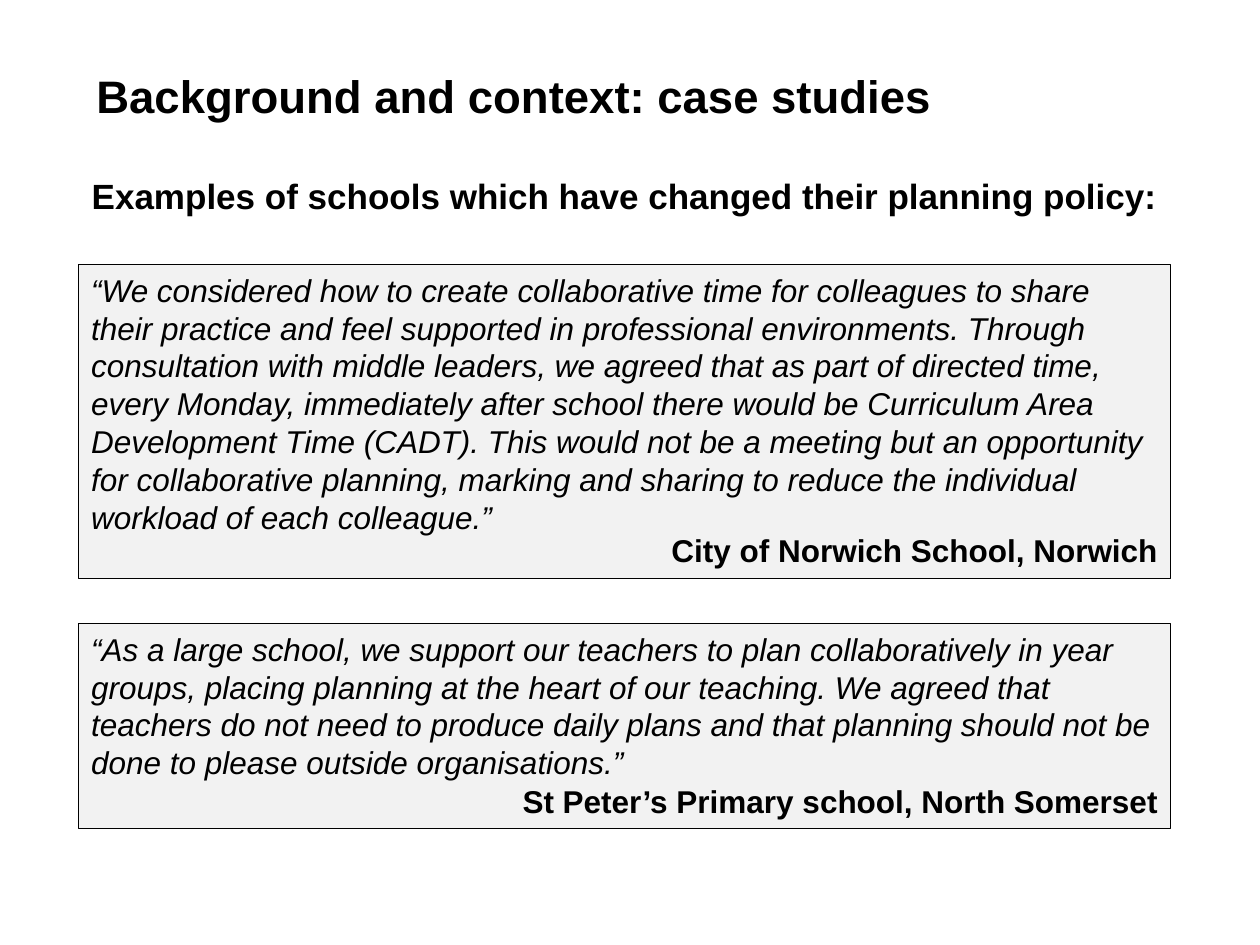
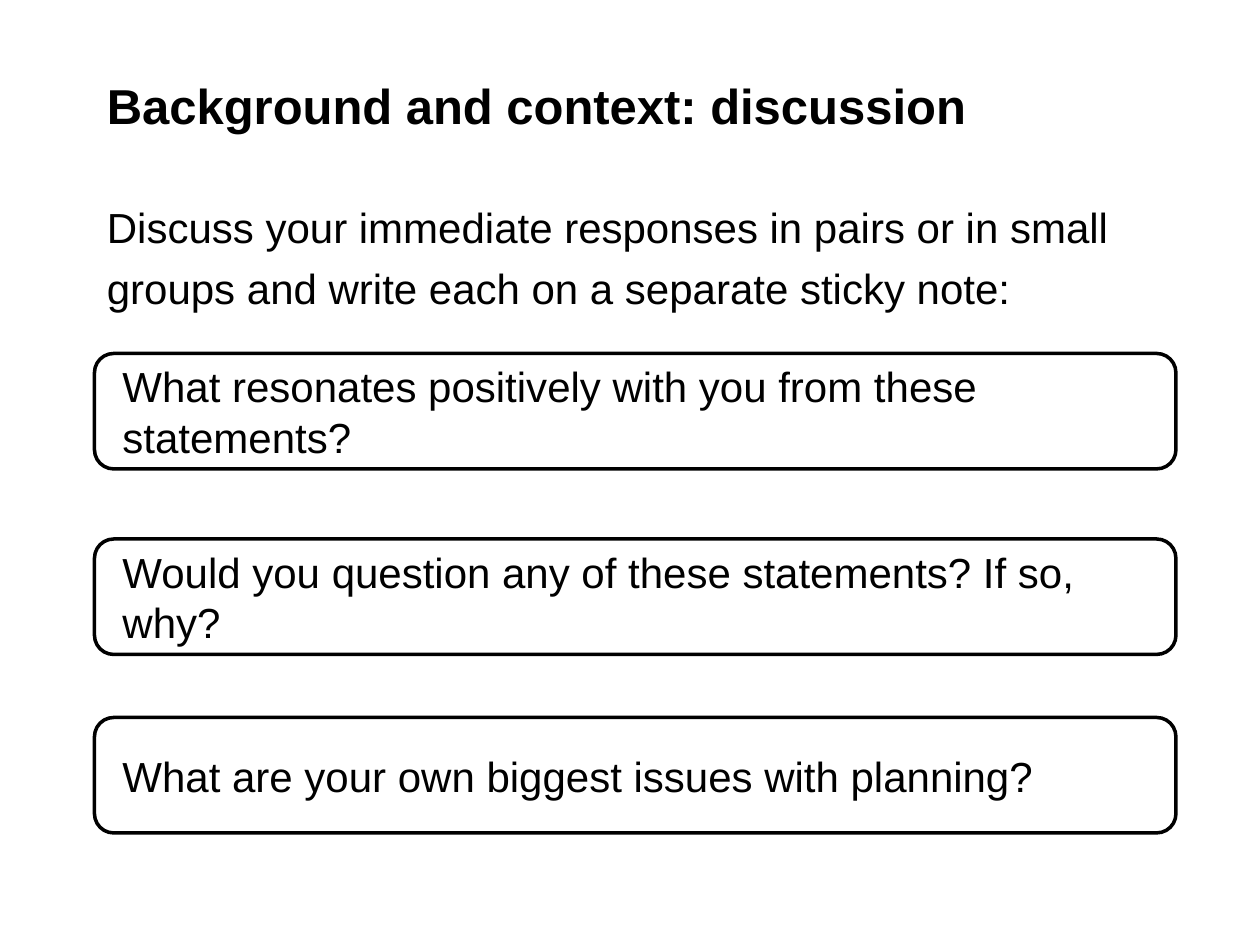
from pptx import Presentation
from pptx.dml.color import RGBColor
from pptx.enum.shapes import MSO_SHAPE as Shape
from pptx.enum.text import MSO_ANCHOR as Anchor, PP_ALIGN as Align
from pptx.util import Pt

FONT = "Arial"
BLACK, PALE_GREY = "000000", "F2F2F2"


def color(hex_string):
    return RGBColor.from_string(hex_string)


def write(frame, text, size, bold=False, italic=False, align=Align.LEFT,
          spacing=1.0, before=0, after=0, anchor=Anchor.TOP):
    """Add a paragraph to the frame, using the first one while it is empty."""
    frame.word_wrap = True
    frame.vertical_anchor = anchor
    para = frame.paragraphs[0] if not frame.text else frame.add_paragraph()
    para.alignment = align
    para.line_spacing = spacing
    para.space_before, para.space_after = Pt(before), Pt(after)
    span = para.add_run()
    span.text = text
    span.font.name, span.font.size = FONT, Pt(size)
    span.font.bold, span.font.italic = bold, italic
    span.font.color.rgb = color(BLACK)


deck = Presentation()
deck.slide_width, deck.slide_height = Pt(720), Pt(540)

# Pages: title and introduction, each with its place and format
pages = []
for title, title_place, title_size, intro, intro_place, intro_format in [
    ("Background and context: case studies", (48, 15, 618, 79), 26,
     "Examples of schools which have changed their planning policy:",
     (45.3, 101, 647, 28), dict(size=20, bold=True, spacing=0.8)),
    ("Background and context: discussion", (54, 26, 612, 68), 28,
     "Discuss your immediate responses in pairs or in small groups "
     "and write each on a separate sticky note:",
     (54, 106, 612, 91), dict(size=24, spacing=1.2, after=6)),
]:
    page = deck.slides.add_slide(deck.slide_layouts[6])
    pages.append(page)
    title_box = page.shapes.add_textbox(*map(Pt, title_place))
    write(title_box.text_frame, title, title_size, bold=True, anchor=Anchor.MIDDLE)
    intro_box = page.shapes.add_textbox(*map(Pt, intro_place))
    write(intro_box.text_frame, intro, **intro_format)

case_page, discussion_page = pages

# Case studies: a quotation and its school in each panel
for top, height, quote, school, school_format in [
    (151.2, 179.3,
     "“We considered how to create collaborative time for colleagues to share "
     "their practice and feel supported in professional environments. Through "
     "consultation with middle leaders, we agreed that as part of directed time, "
     "every Monday, immediately after school there would be Curriculum Area "
     "Development Time (CADT). This would not be a meeting but an opportunity "
     "for collaborative planning, marking and sharing to reduce the individual "
     "workload of each colleague.”",
     "City of Norwich School, Norwich", dict(spacing=0.9)),
    (356.4, 117,
     "“As a large school, we support our teachers to plan collaboratively in year "
     "groups, placing planning at the heart of our teaching. We agreed that "
     "teachers do not need to produce daily plans and that planning should not be "
     "done to please outside organisations.”",
     "St Peter’s Primary school, North Somerset", dict(spacing=0.8, before=5)),
]:
    panel = case_page.shapes.add_shape(
        Shape.RECTANGLE, Pt(45), Pt(top), Pt(623.8), Pt(height))
    panel.shadow.inherit = False
    panel.fill.solid()
    panel.fill.fore_color.rgb = color(PALE_GREY)
    panel.line.color.rgb = color(BLACK)
    panel.line.width = Pt(0.75)
    write(panel.text_frame, quote, 18, italic=True)
    write(panel.text_frame, school, 18, bold=True, align=Align.RIGHT, **school_format)

# Discussion: one rounded frame for each question
for top, question in [
    (202, "What resonates positively with you from these statements?"),
    (308, "Would you question any of these statements? If so, why?"),
    (410, "What are your own biggest issues with planning?"),
]:
    frame = discussion_page.shapes.add_shape(
        Shape.ROUNDED_RECTANGLE, Pt(54), Pt(top), Pt(618), Pt(66))
    frame.shadow.inherit = False
    frame.fill.background()
    frame.line.color.rgb = color(BLACK)
    frame.line.width = Pt(2)
    frame.text_frame.margin_left = Pt(12.8)
    write(frame.text_frame, question, 24, anchor=Anchor.MIDDLE)

deck.save("out.pptx")
